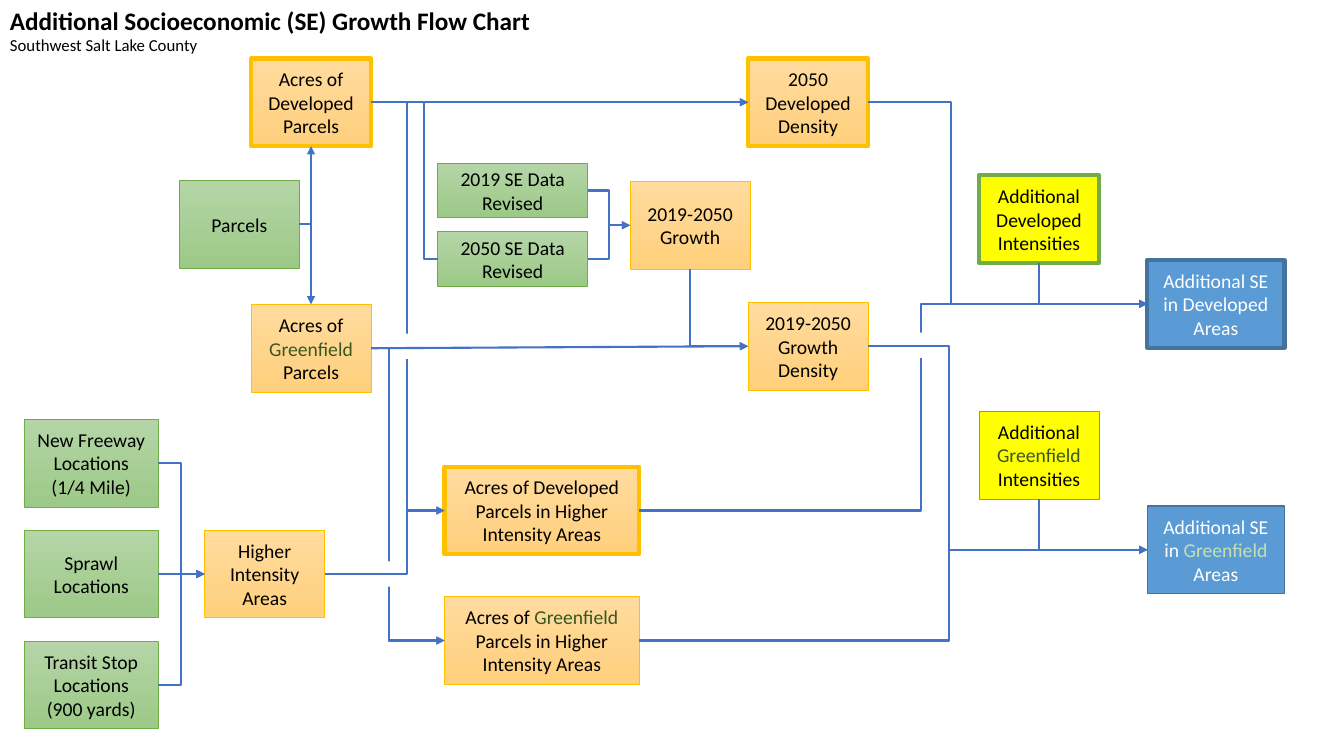
from dataclasses import dataclass
from typing import Any, Optional

from lxml import etree
from pptx import Presentation
from pptx.dml.color import RGBColor
from pptx.enum.shapes import MSO_CONNECTOR, MSO_SHAPE
from pptx.enum.text import MSO_ANCHOR, PP_ALIGN
from pptx.oxml.ns import qn
from pptx.util import Inches, Pt

RECT = MSO_SHAPE.RECTANGLE
ELBOW = MSO_CONNECTOR.ELBOW
STRAIGHT = MSO_CONNECTOR.STRAIGHT
MIDDLE = MSO_ANCHOR.MIDDLE
CENTER = PP_ALIGN.CENTER
TOP, LEFT, BOTTOM, RIGHT = range(4)
ACCENT = "Greenfield"
CORNER = "corner"


@dataclass(frozen=True)
class Look:
    fills: tuple[str, ...]
    edge: str
    ink: str = "000000"
    accent: str = "385723"


@dataclass(frozen=True)
class Theme:
    input: Look = Look(("B5D5A7", "9CC987"), "70AD47")
    step: Look = Look(("FFDB9E", "FFD07C"), "FFC000")
    added: Look = Look(("FFFF00",), "70AD47")
    result: Look = Look(("5B9BD5",), "43739E", "FFFFFF", "C5E0B4")
    ink: str = "000000"
    paper: str = "FFFFFF"
    link: str = "4472C4"
    font: str = "Calibri"
    title: float = 18
    sub: float = 12
    body: float = 14
    thin: float = 0.5
    thick: float = 3
    wire: float = 1.5


@dataclass(frozen=True)
class Box:
    key: str
    text: str
    look: Look
    x: float
    y: float
    w: float = 1.19
    h: float = 0.87
    edge: float = 0.5


@dataclass(frozen=True)
class Link:
    start: str
    end: str
    bend: Any = None
    out: int = RIGHT
    into: int = LEFT


@dataclass(frozen=True)
class Gap:
    x: float
    y: float
    size: float = 0.25


THEME = Theme()
INPUT, STEP, ADDED, RESULT = THEME.input, THEME.step, THEME.added, THEME.result
THICK = THEME.thick
STACK = (
    ("freeway", "New Freeway Locations\n(1/4 Mile)"),
    ("sprawl", "Sprawl Locations"),
    ("transit", "Transit Stop Locations\n(900 yards)"),
)
BOXES = [
    Box("green", "Acres of Greenfield Parcels", STEP, 2.49, 3.02),
    Box("higher", "Higher Intensity Areas", STEP, 2.03, 5.26),
    *(Box(f"data{year}", f"{year} SE Data\nRevised", INPUT, 4.34, y, 1.49, 0.54)
      for year, y in ((2019, 1.62), (2050, 2.3))),
    Box("built", "Acres of Developed Parcels", STEP, 2.49, 0.58, edge=THICK),
    Box("growth", "2019-2050 Growth", STEP, 6.25, 1.8),
    Box("rise", "2019-2050 Growth Density", STEP, 7.42, 3),
    Box("dense", "2050 Developed Density", STEP, 7.42, 0.58, edge=THICK),
    Box("builthigh", "Acres of Developed Parcels in Higher Intensity Areas",
        STEP, 4.41, 4.63, 1.93, edge=THICK),
    Box("greenhigh", "Acres of Greenfield Parcels in Higher Intensity Areas",
        STEP, 4.41, 5.92, 1.93),
    *(Box(key, text, INPUT, 0.24, 4.16 + 1.1 * row, 1.33)
      for row, (key, text) in enumerate(STACK)),
    Box("parcels", "Parcels", INPUT, 1.78, 1.79),
    Box("builtadd", "Additional Developed Intensities", ADDED, 9.71, 1.74, edge=THICK),
    Box("greenadd", "Additional Greenfield Intensities", ADDED, 9.71, 4.08),
    Box("builtend", "Additional SE in Developed\nAreas", RESULT, 11.38, 2.58, 1.36,
        edge=THICK),
    Box("greenend", "Additional SE in Greenfield\nAreas", RESULT, 11.38, 5.02, 1.36,
        edge=1),
]
FLOW = [
    Link("built", "dense"),
    Link("data2019", "growth", 6.04),
    Link("data2050", "growth", 6.04),
    Link("growth", "rise", CORNER, out=BOTTOM),
    Link("parcels", "built", CORNER, into=BOTTOM),
    Link("parcels", "green", CORNER, into=TOP),
    Link("built", "builthigh", 4.04),
    Link("green", "greenhigh", 3.86),
    Link("freeway", "higher", 1.8),
    Link("transit", "higher", 1.8),
    Link("sprawl", "higher"),
    Gap(3.94, 3.31),
    Link("green", "rise"),
    Link("higher", "greenhigh", 3.86),
    Gap(3.7, 5.57),
    Link("higher", "builthigh", 4.04),
    Link("dense", "builtend", 9.43),
    Link("builthigh", "builtend", 9.13),
    Gap(9.05, 3.3),
    Link("rise", "greenend", 9.41),
    Link("greenhigh", "greenend", 9.41),
    Link("greenadd", "greenend", CORNER, out=BOTTOM),
    Link("builtadd", "builtend", CORNER, out=BOTTOM),
    Link("data2050", "dense", 4.2, out=LEFT),
]


def apply(item: Any, values: dict[str, Any]) -> None:
    for name, value in values.items():
        setattr(item, name, value)


def add_run(para: Any, text: str, size: float, ink: str, bold: bool = False) -> None:
    run = para.add_run()
    run.text = text
    apply(run.font, {"name": THEME.font, "size": Pt(size), "bold": bold})
    run.font.color.rgb = RGBColor.from_string(ink)


def add_rect(slide: Any, x: float, y: float, w: float, h: float,
             fills: tuple[str, ...]) -> Any:
    rect = slide.shapes.add_shape(RECT, Inches(x), Inches(y), Inches(w), Inches(h))
    rect.shadow.inherit = False
    if len(fills) == 1:
        rect.fill.solid()
        rect.fill.fore_color.rgb = RGBColor.from_string(fills[0])
    else:
        rect.fill.gradient()
        rect.fill.gradient_angle = 270
        for stop, shade in zip(rect.fill.gradient_stops, fills):
            stop.color.rgb = RGBColor.from_string(shade)
    return rect


def add_box(slide: Any, box: Box) -> Any:
    look = box.look
    rect = add_rect(slide, box.x, box.y, box.w, box.h, look.fills)
    rect.line.color.rgb = RGBColor.from_string(look.edge)
    rect.line.width = Pt(box.edge)
    frame = rect.text_frame
    apply(frame, {"word_wrap": True, "vertical_anchor": MIDDLE})
    for row, text in enumerate(box.text.split("\n")):
        para = frame.add_paragraph() if row else frame.paragraphs[0]
        para.alignment = CENTER
        for part in text.partition(ACCENT):
            if part:
                add_run(para, part, THEME.body,
                        look.accent if part == ACCENT else look.ink)
    return rect


def add_gap(slide: Any, gap: Gap) -> None:
    rect = add_rect(slide, gap.x, gap.y, gap.size, gap.size, (THEME.paper,))
    rect.line.fill.background()


def add_link(slide: Any, link: Link, nodes: dict[str, Any]) -> None:
    ends = [(nodes[link.start], link.out), (nodes[link.end], link.into)]
    tip = "a:tailEnd"
    if link.out == BOTTOM:
        ends.reverse()
        tip = "a:headEnd"
    kind = STRAIGHT if link.bend is None else ELBOW
    wire = slide.shapes.add_connector(kind, 0, 0, 0, 0)
    wire.begin_connect(*ends[0])
    wire.end_connect(*ends[1])
    wire.line.color.rgb = RGBColor.from_string(THEME.link)
    wire.line.width = Pt(THEME.wire)
    props = wire._element.spPr
    etree.SubElement(props.find(qn("a:ln")), qn(tip), type="triangle")
    etree.SubElement(props, qn("a:effectLst"))
    shape = props.find(qn("a:prstGeom"))
    if link.bend == CORNER:
        shape.set("prst", "bentConnector2")
    elif link.bend is not None:
        ratio = (Inches(link.bend) - wire.begin_x) / (wire.end_x - wire.begin_x)
        guides = shape.find(qn("a:avLst"))
        if guides is None:
            guides = etree.SubElement(shape, qn("a:avLst"))
        etree.SubElement(guides, qn("a:gd"), name="adj1",
                         fmla=f"val {round(ratio * 100000)}")


def add_title(slide: Any) -> None:
    frame = slide.shapes.add_textbox(0, 0, Inches(5.4), Inches(0.61)).text_frame
    frame.word_wrap = False
    add_run(frame.paragraphs[0], "Additional Socioeconomic (SE) Growth Flow Chart",
            THEME.title, THEME.ink, True)
    add_run(frame.add_paragraph(), "Southwest Salt Lake County", THEME.sub, THEME.ink)


def main() -> None:
    deck = Presentation()
    apply(deck, {"slide_width": Inches(13.33), "slide_height": Inches(7.5)})
    slide = deck.slides.add_slide(deck.slide_layouts[6])
    nodes = {box.key: add_box(slide, box) for box in BOXES}
    for item in FLOW:
        if isinstance(item, Gap):
            add_gap(slide, item)
        else:
            add_link(slide, item, nodes)
    add_title(slide)
    deck.save("out.pptx")


main()
